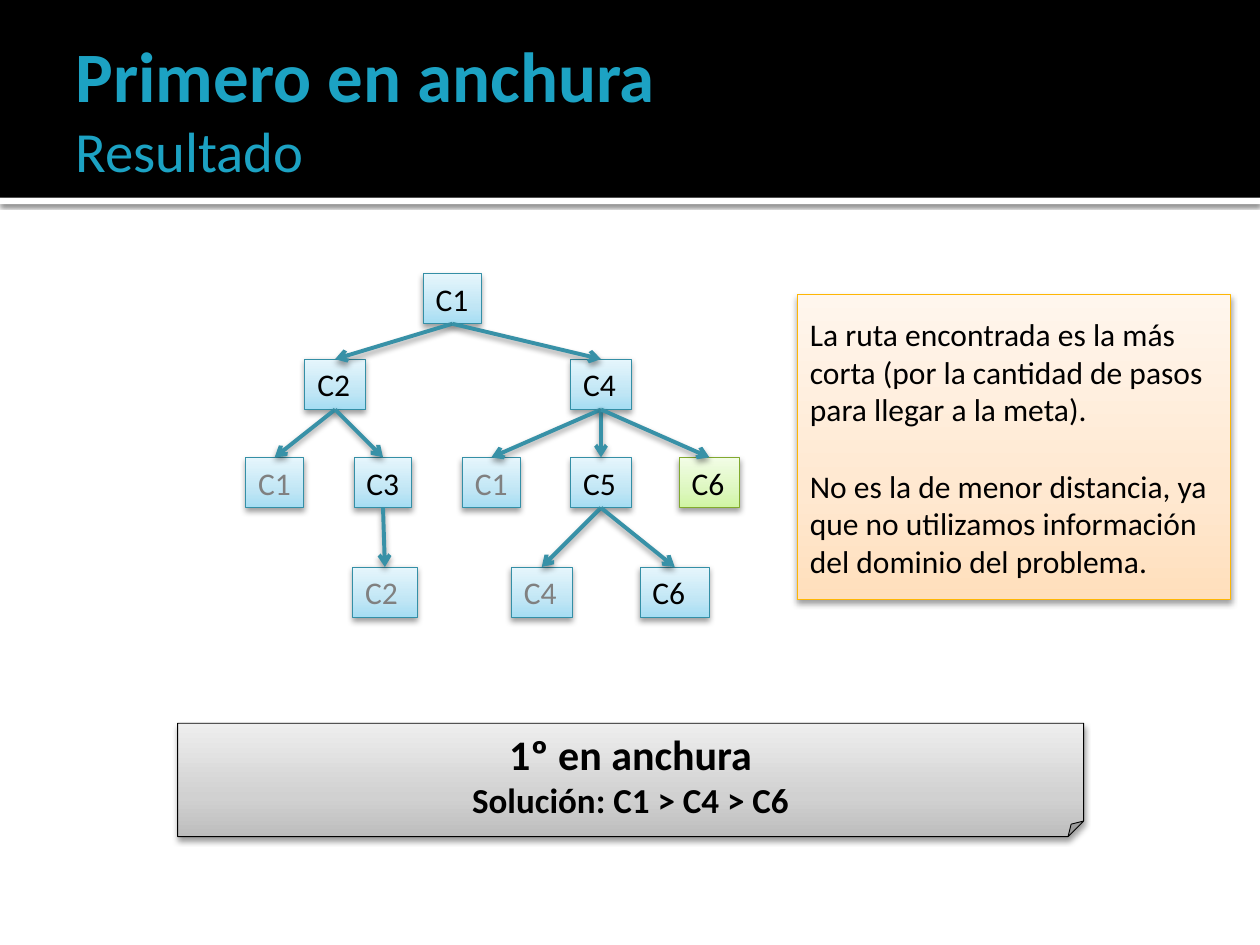
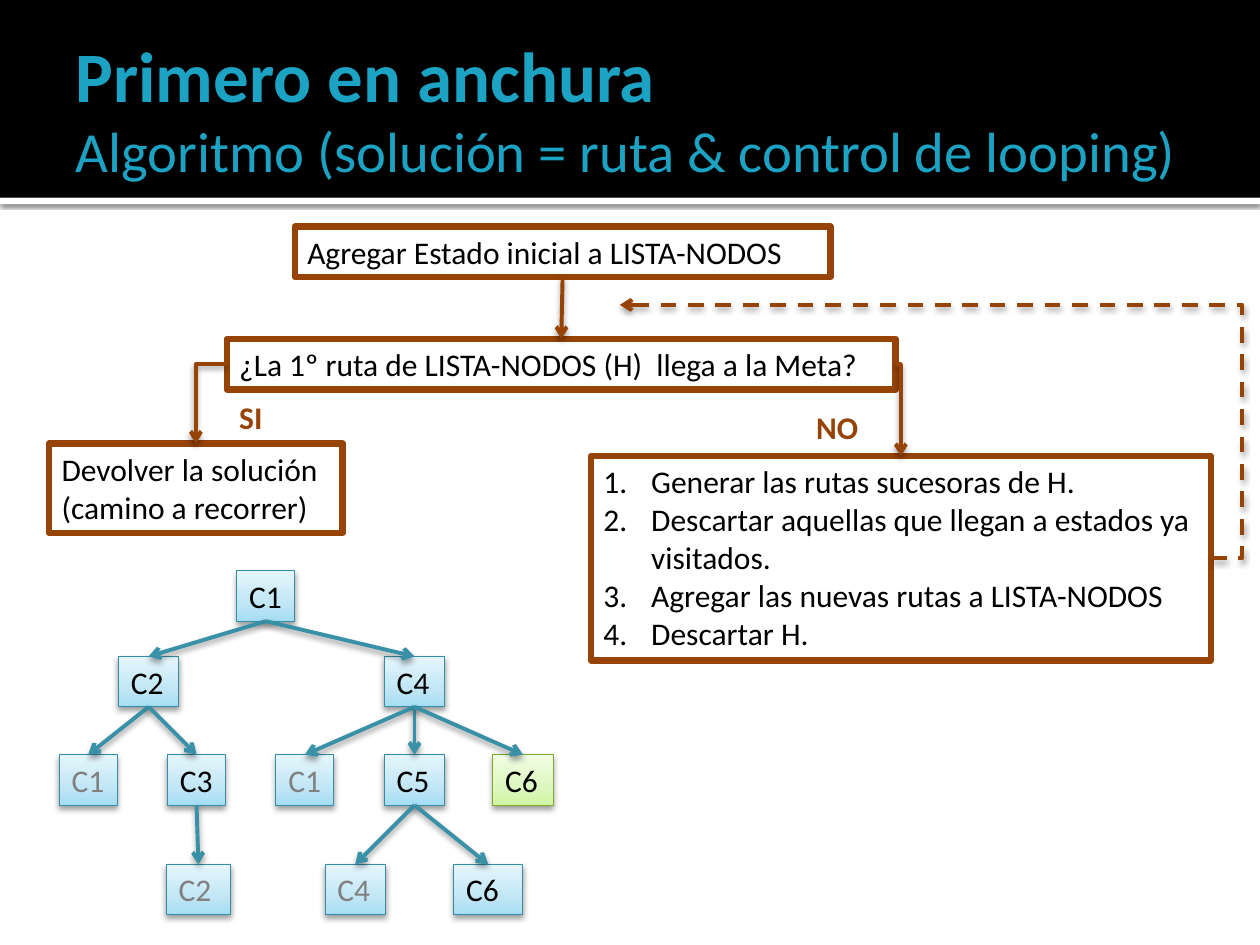
from copy import deepcopy
from dataclasses import dataclass
from typing import Optional

from lxml import etree
from pptx import Presentation
from pptx import util as u
from pptx.dml.color import RGBColor
from pptx.enum import dml, shapes, text
from pptx.oxml.ns import qn

Inches, Pt = u.Inches, u.Pt
Rect = shapes.MSO_SHAPE.RECTANGLE
Straight = shapes.MSO_CONNECTOR.STRAIGHT
Elbow = shapes.MSO_CONNECTOR.ELBOW
TOP, LEFT, BOTTOM, RIGHT = range(4)  # connection sites of a rectangle


# Shared look
@dataclass(frozen=True)
class Tone:
    gradient: tuple[str, str, str]  # from bottom to top
    line: str


@dataclass(frozen=True)
class Shadow:
    alpha: int
    blur: float
    distance: float


@dataclass(frozen=True)
class Theme:
    font: str = "Calibri"
    black: str = "000000"
    white: str = "FFFFFF"
    muted: str = "808080"
    title: str = "1CA2C3"
    edge: str = "3891A7"
    flow: str = "964305"
    title_size: float = 40.5
    subtitle_size: float = 32.4
    heading_size: float = 24
    solution_size: float = 20
    body_size: float = 18
    hairline: float = 0.5
    arrow_width: float = 2.25
    flow_width: float = 3.78
    state: Tone = Tone(("A5DDF3", "C1E6F5", "E6F6FC"), "348FA6")
    goal: Tone = Tone(("D0F5A3", "DDF7BF", "F2FDE6"), "82A92F")
    note: Tone = Tone(("FFDFBC", "FFE8D0", "FFF6ED"), "FEB604")
    result: Tone = Tone(("BDBDBD", "D1D1D1", "EEEEEE"), "000000")
    soft: Shadow = Shadow(38, 3.5, 2)
    band: Shadow = Shadow(60, 2.5, 0.8)


THEME = Theme()


@dataclass(frozen=True)
class Box:
    left: float
    top: float
    width: float
    height: float = 0.4

    def lengths(self) -> tuple:
        return tuple(map(Inches, (self.left, self.top, self.width, self.height)))


@dataclass(frozen=True)
class Node:
    state: str
    left: float  # measured from the tree's corner
    top: float
    width: float
    parent: Optional[int] = None
    repeated: bool = False
    goal: bool = False


LEVELS = (0, 0.68, 1.46, 2.33)
LEAF_PITCH = 0.86
TREE = (
    Node("C1", 1.41, LEVELS[0], 0.46),
    Node("C2", 0.47, LEVELS[1], 0.48, 0),
    Node("C4", 2.58, LEVELS[1], 0.48, 0),
    Node("C1", 0, LEVELS[2], 0.46, 1, repeated=True),
    Node("C3", LEAF_PITCH, LEVELS[2], 0.46, 1),
    Node("C1", 2 * LEAF_PITCH, LEVELS[2], 0.46, 2, repeated=True),
    Node("C5", 3 * LEAF_PITCH, LEVELS[2], 0.48, 2),
    Node("C6", 4 * LEAF_PITCH, LEVELS[2], 0.48, 2, goal=True),
    Node("C2", 0.85, LEVELS[3], 0.51, 4, repeated=True),
    Node("C4", 2.11, LEVELS[3], 0.48, 6, repeated=True),
    Node("C6", 3.13, LEVELS[3], 0.55, 6),
)


# Formatting
def rgb(code: str) -> RGBColor:
    return RGBColor.from_string(code)


def format_run(run, size: float, color: str, bold: bool = False) -> None:
    run.font.name = THEME.font
    run.font.size = Pt(size)
    run.font.color.rgb = rgb(color)
    run.font.bold = bold


def cast_shadow(part, shadow: Shadow) -> None:
    properties = part._element.spPr
    for effects in properties.findall(qn("a:effectLst")):
        properties.remove(effects)
    effects = etree.SubElement(properties, qn("a:effectLst"))
    outer = etree.SubElement(
        effects, qn("a:outerShdw"), blurRad=str(Pt(shadow.blur)),
        dist=str(Pt(shadow.distance)), dir="5400000", rotWithShape="0")
    shade = etree.SubElement(outer, qn("a:srgbClr"), val=THEME.black)
    etree.SubElement(shade, qn("a:alpha"), val=str(shadow.alpha * 1000))


def paint_gradient(part, colors: tuple[str, str, str]) -> None:
    part.fill.gradient()
    part.fill.gradient_angle = 90
    stop_list = next(part._element.spPr.iter(qn("a:gsLst")))
    stop_list.append(deepcopy(stop_list[0]))
    for stop, position, color in zip(part.fill.gradient_stops, (0, 0.35, 1), colors):
        stop.position = position
        stop.color.rgb = rgb(color)


def set_guide(part, name: str, value: int) -> None:
    geometry = part._element.spPr.find(qn("a:prstGeom"))
    guides = geometry.get_or_add_avLst()
    etree.SubElement(guides, qn("a:gd"), name=name, fmla=f"val {value}")


def write(part, content: str, color: str = THEME.black, bold: bool = False,
          right_inset: float = 0.1, anchor=text.MSO_ANCHOR.TOP) -> None:
    frame = part.text_frame
    frame.text = content
    frame.word_wrap = True
    frame.vertical_anchor = anchor
    frame.margin_right = Inches(right_inset)
    for paragraph in frame.paragraphs:
        paragraph.alignment = text.PP_ALIGN.LEFT
        for run in paragraph.runs:
            format_run(run, THEME.body_size, color, bold)


# Building blocks
def add_plain(slide, box: Box, fill: str):
    part = slide.shapes.add_shape(Rect, *box.lengths())
    part.shadow.inherit = False
    part.fill.solid()
    part.fill.fore_color.rgb = rgb(fill)
    part.line.fill.background()
    return part


def add_glossy(slide, box: Box, tone: Tone, preset=Rect):
    part = slide.shapes.add_shape(preset, *box.lengths())
    paint_gradient(part, tone.gradient)
    part.line.color.rgb = rgb(tone.line)
    part.line.width = Pt(THEME.hairline)
    cast_shadow(part, THEME.soft)
    return part


def add_arrow(slide, color: str, kind=Straight, start=None, end=None,
              points: tuple = (0, 0, 0, 0), dashed: bool = False):
    """Join two (shape, site) pairs, or run freely between two points."""
    arrow = slide.shapes.add_connector(kind, *map(Inches, points))
    if start and end:
        arrow.begin_connect(*start)
        arrow.end_connect(*end)
    arrow.line.color.rgb = rgb(color)
    arrow.line.width = Pt(THEME.arrow_width)
    if dashed:
        arrow.line.dash_style = dml.MSO_LINE.DASH
    etree.SubElement(arrow._element.spPr.find(qn("a:ln")), qn("a:tailEnd"), type="arrow")
    cast_shadow(arrow, THEME.soft)
    return arrow


def add_flow_step(slide, box: Box, content: str):
    step = add_plain(slide, box, THEME.white)
    step.line.color.rgb = rgb(THEME.flow)
    step.line.width = Pt(THEME.flow_width)
    write(step, content)
    return step


def add_search_tree(slide, left: float, top: float) -> None:
    states = []
    for node in TREE:
        box = Box(left + node.left, top + node.top, node.width)
        state = add_glossy(slide, box, THEME.goal if node.goal else THEME.state)
        write(state, node.state, THEME.muted if node.repeated else THEME.black, right_inset=0)
        states.append(state)
    for node, state in zip(TREE, states):
        if node.parent is not None:
            add_arrow(slide, THEME.edge, start=(states[node.parent], BOTTOM), end=(state, TOP))


def add_titled_slide(deck, subtitle: str):
    slide = deck.slides.add_slide(deck.slide_layouts[5])
    title = slide.shapes.title
    title.left, title.top, title.width, title.height = Box(0.5, 0.17, 9, 1.37).lengths()
    frame = title.text_frame
    frame.text = f"Primero en anchura\v{subtitle}"
    frame.auto_size = text.MSO_AUTO_SIZE.NONE
    frame.vertical_anchor = text.MSO_ANCHOR.MIDDLE
    frame.margin_left = Inches(0.1)
    frame.margin_right = frame.margin_top = frame.margin_bottom = Inches(0.05)
    frame.paragraphs[0].alignment = text.PP_ALIGN.LEFT
    heading, detail = frame.paragraphs[0].runs
    format_run(heading, THEME.title_size, THEME.title, bold=True)
    format_run(detail, THEME.subtitle_size, THEME.title)
    return slide


def add_master_bands(deck, slide) -> None:
    """Draw the header bands, then move them behind everything on the master."""
    rule = add_plain(slide, Box(0, 1.57, 10, 0.05), THEME.white)
    cast_shadow(rule, THEME.band)
    header = add_plain(slide, Box(0, 0, 10, 1.57), THEME.black)
    for place, band in enumerate((rule, header)):
        band._element.nvSpPr.cNvPr.id = 101 + place
        deck.slide_master.shapes._spTree.insert(2 + place, band._element)


# Slide 1: result of the search
def build_result(deck) -> None:
    slide = add_titled_slide(deck, "Resultado")
    add_master_bands(deck, slide)

    solution = add_glossy(slide, Box(1.41, 5.74, 7.19, 0.9), THEME.result,
                          shapes.MSO_SHAPE.FOLDED_CORNER)
    set_guide(solution, "adj", 13700)
    write(solution, "1º en anchura\nSolución: C1 > C4 > C6", right_inset=0.08)
    frame = solution.text_frame
    frame.margin_left, frame.margin_top, frame.margin_bottom = Inches(0.08), Inches(0.04), 0
    for line, size in zip(frame.paragraphs, (THEME.heading_size, THEME.solution_size)):
        line.alignment = text.PP_ALIGN.CENTER
        format_run(line.runs[0], size, THEME.black, bold=True)

    add_search_tree(slide, 1.95, 2.17)

    remark = add_glossy(slide, Box(6.33, 2.34, 3.44, 2.42), THEME.note)
    write(remark,
          "La ruta encontrada es la más corta (por la cantidad de pasos para llegar a la meta).\n"
          "No es la de menor distancia, ya que no utilizamos información del dominio del problema.",
          anchor=text.MSO_ANCHOR.MIDDLE)
    remark.text_frame.paragraphs[1].space_before = Pt(22)


# Slide 2: algorithm as a flow chart
def build_algorithm(deck) -> None:
    slide = add_titled_slide(deck, "Algoritmo (solución = ruta & control de looping)")

    initial = add_flow_step(slide, Box(2.34, 1.8, 4.25), "Agregar Estado inicial a LISTA-NODOS")
    question = add_flow_step(slide, Box(1.8, 2.69, 5.31),
                             "¿La 1º ruta de LISTA-NODOS (H)  llega a la Meta?")
    answer = add_flow_step(slide, Box(0.39, 3.52, 2.33, 0.71),
                           "Devolver la solución\n(camino a recorrer)")
    expansion = add_flow_step(slide, Box(4.69, 3.62, 4.92, 1.62),
                              "Generar las rutas sucesoras de H.\n"
                              "Descartar aquellas que llegan a estados ya visitados.\n"
                              "Agregar las nuevas rutas a LISTA-NODOS\n"
                              "Descartar H.")
    for paragraph in expansion.text_frame.paragraphs:
        numbering = paragraph._p.get_or_add_pPr()
        numbering.set("marL", str(Inches(0.38)))
        numbering.set("indent", str(-Inches(0.38)))
        etree.SubElement(numbering, qn("a:buAutoNum"), type="arabicPeriod")

    # Arrows between the steps
    add_arrow(slide, THEME.flow, start=(initial, BOTTOM), end=(question, TOP))
    for side, target in ((RIGHT, expansion), (LEFT, answer)):
        branch = add_arrow(slide, THEME.flow, Elbow, (question, side), (target, TOP))
        branch._element.spPr.find(qn("a:prstGeom")).set("prst", "bentConnector2")
    loop = add_arrow(slide, THEME.flow, Elbow, points=(9.61, 4.43, 4.92, 2.42), dashed=True)
    set_guide(loop, "adj1", -5300)

    for decision, box in (("SI", Box(1.8, 3.11, 0.42)), ("NO", Box(6.38, 3.19, 0.57))):
        label = slide.shapes.add_textbox(*box.lengths())
        write(label, decision, THEME.flow, bold=True, right_inset=0)

    add_search_tree(slide, 0.47, 4.53)


def main() -> None:
    deck = Presentation()
    deck.slide_width, deck.slide_height = Inches(10), Inches(7.5)
    build_result(deck)
    build_algorithm(deck)
    deck.save("out.pptx")


if __name__ == "__main__":
    main()
